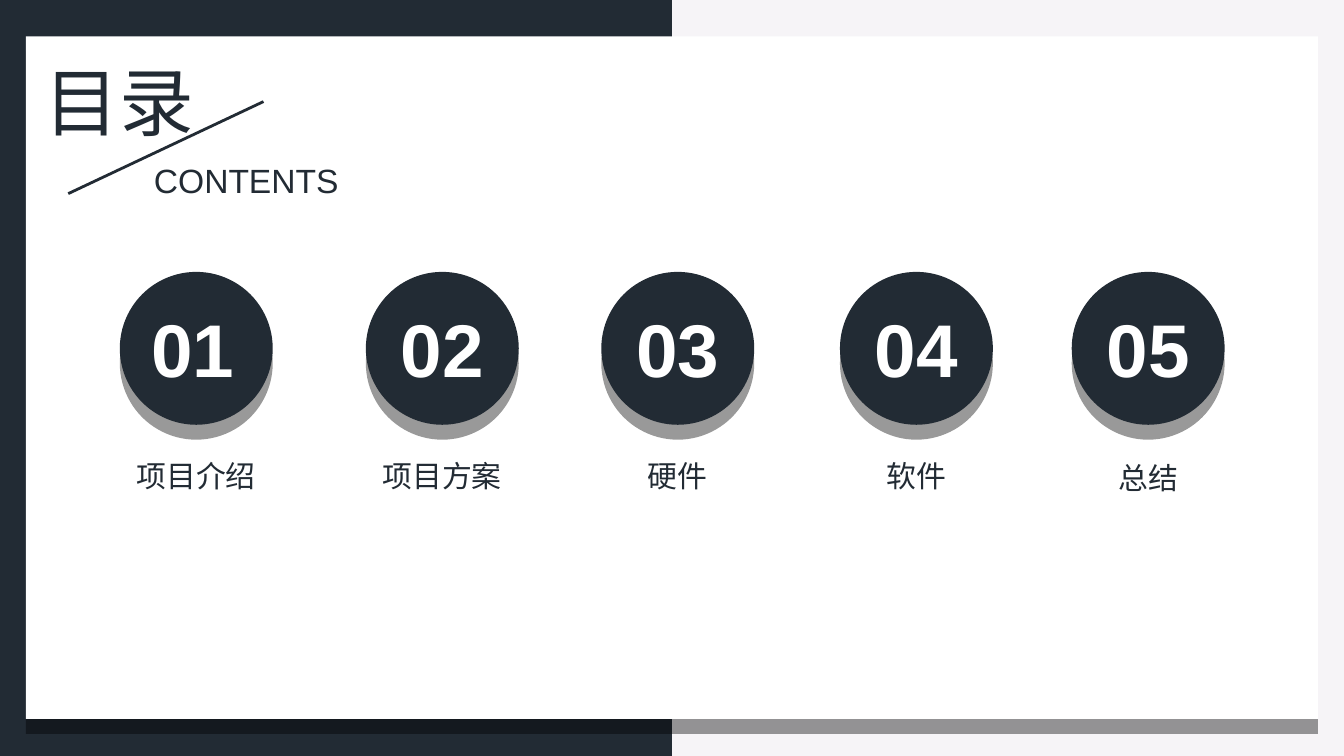
import lxml.etree
import pptx
import pptx.dml.color
import pptx.enum.shapes
import pptx.enum.text
import pptx.oxml.ns
import pptx.util
from pptx.util import Cm

COLOURS = {
    "dark": "222B34",
    "page": "F6F4F7",
    "white": "FFFFFF",
    "shadow": "000000",
}
SHAPES = pptx.enum.shapes.MSO_SHAPE
ALIGN = pptx.enum.text.PP_ALIGN
CJK_FONT = "Noto Sans CJK SC"
SLIDE_WIDTH, SLIDE_HEIGHT = 25.4, 14.29
CIRCLE_SIZE, CIRCLE_TOP = 2.89, 5.14
NUMBER_WIDTH, NUMBER_HEIGHT = 2.12, 1.96

# Circle centre, label, label width and label top, in centimetres
SECTIONS = [
    (3.71, "项目介绍", 2.82, 8.53),
    (8.36, "项目方案", 2.82, 8.53),
    (12.81, "硬件", 1.68, 8.53),
    (17.32, "软件", 1.68, 8.53),
    (21.7, "总结", 2.57, 8.56),
]


def colour(name):
    return pptx.dml.color.RGBColor.from_string(COLOURS[name])


def add_element(parent, tag, **attributes):
    return lxml.etree.SubElement(parent, pptx.oxml.ns.qn(tag), attributes)


class SlideBuilder:
    """Holds the slide and the style shared by its elements."""

    def __init__(self, slide):
        self.slide = slide
        fill = slide.background.fill
        fill.solid()
        fill.fore_color.rgb = colour("page")

    def shape(self, kind, left, top, width, height, fill, shadow=False):
        shape = self.slide.shapes.add_shape(
            kind, Cm(left), Cm(top), Cm(width), Cm(height))
        shape.fill.solid()
        shape.fill.fore_color.rgb = colour(fill)
        shape.line.fill.background()
        shape.shadow.inherit = False
        if shadow:
            self.drop_shadow(shape)

    def drop_shadow(self, shape):
        """Add a hard 40 % shadow, 8 pt straight below the shape."""
        effects = shape.element.spPr.find(pptx.oxml.ns.qn("a:effectLst"))
        outer = add_element(effects, "a:outerShdw", blurRad="0",
                            dist=str(pptx.util.Pt(8)), dir="5400000",
                            algn="t", rotWithShape="0")
        tint = add_element(outer, "a:srgbClr", val=COLOURS["shadow"])
        add_element(tint, "a:alpha", val="40000")

    def line(self, start, end, width):
        line = self.slide.shapes.add_connector(
            pptx.enum.shapes.MSO_CONNECTOR.STRAIGHT,
            *(Cm(value) for value in start + end))
        line.line.color.rgb = colour("dark")
        line.line.width = pptx.util.Pt(width)
        add_element(line.element.spPr, "a:effectLst")

    def text(self, text, left, top, width, height, size, font,
             fill="dark", bold=False, align=ALIGN.LEFT):
        box = self.slide.shapes.add_textbox(
            Cm(left), Cm(top), Cm(width), Cm(height))
        frame = box.text_frame
        frame.word_wrap = False
        frame.auto_size = pptx.enum.text.MSO_AUTO_SIZE.SHAPE_TO_FIT_TEXT
        paragraph = frame.paragraphs[0]
        paragraph.alignment = align
        run = paragraph.add_run()
        run.text = text
        formats = {"size": pptx.util.Pt(size), "name": font, "bold": bold}
        for name, value in formats.items():
            setattr(run.font, name, value)
        run.font.color.rgb = colour(fill)
        add_element(run._r.get_or_add_rPr(), "a:ea", typeface=font)

    def section(self, centre, label, label_width, label_top):
        self.shape(SHAPES.OVAL, centre - CIRCLE_SIZE / 2, CIRCLE_TOP,
                   CIRCLE_SIZE, CIRCLE_SIZE, "dark", shadow=True)
        self.text(label, centre - label_width / 2, label_top, label_width, 0.94,
                  16, CJK_FONT, align=ALIGN.CENTER)

    def number(self, number, centre):
        self.text(f"{number:02d}", centre - NUMBER_WIDTH / 2, 5.6,
                  NUMBER_WIDTH, NUMBER_HEIGHT, 40, "Arial",
                  fill="white", bold=True, align=ALIGN.CENTER)


def main():
    presentation = pptx.Presentation()
    presentation.slide_width = Cm(SLIDE_WIDTH)
    presentation.slide_height = Cm(SLIDE_HEIGHT)
    builder = SlideBuilder(
        presentation.slides.add_slide(presentation.slide_layouts[6]))

    builder.shape(SHAPES.RECTANGLE, 0, 0, SLIDE_WIDTH / 2, SLIDE_HEIGHT, "dark")
    builder.shape(SHAPES.RECTANGLE, 0.49, 0.69, 24.42, 12.9, "white", shadow=True)

    builder.text("目录", 0.6, 0.94, 3.35, 1.96, 40, "Calibri")
    builder.line((4.98, 1.92), (1.29, 3.66), 1.5)
    builder.text("CONTENTS", 2.66, 2.9, 4.1, 1.02, 18, "Arial")

    for section in SECTIONS:
        builder.section(*section)
    for number, (centre, *_) in enumerate(SECTIONS, start=1):
        # The first number sits slightly left of its circle's centre
        builder.number(number, centre - 0.07 if number == 1 else centre)

    presentation.save("out.pptx")


if __name__ == "__main__":
    main()
